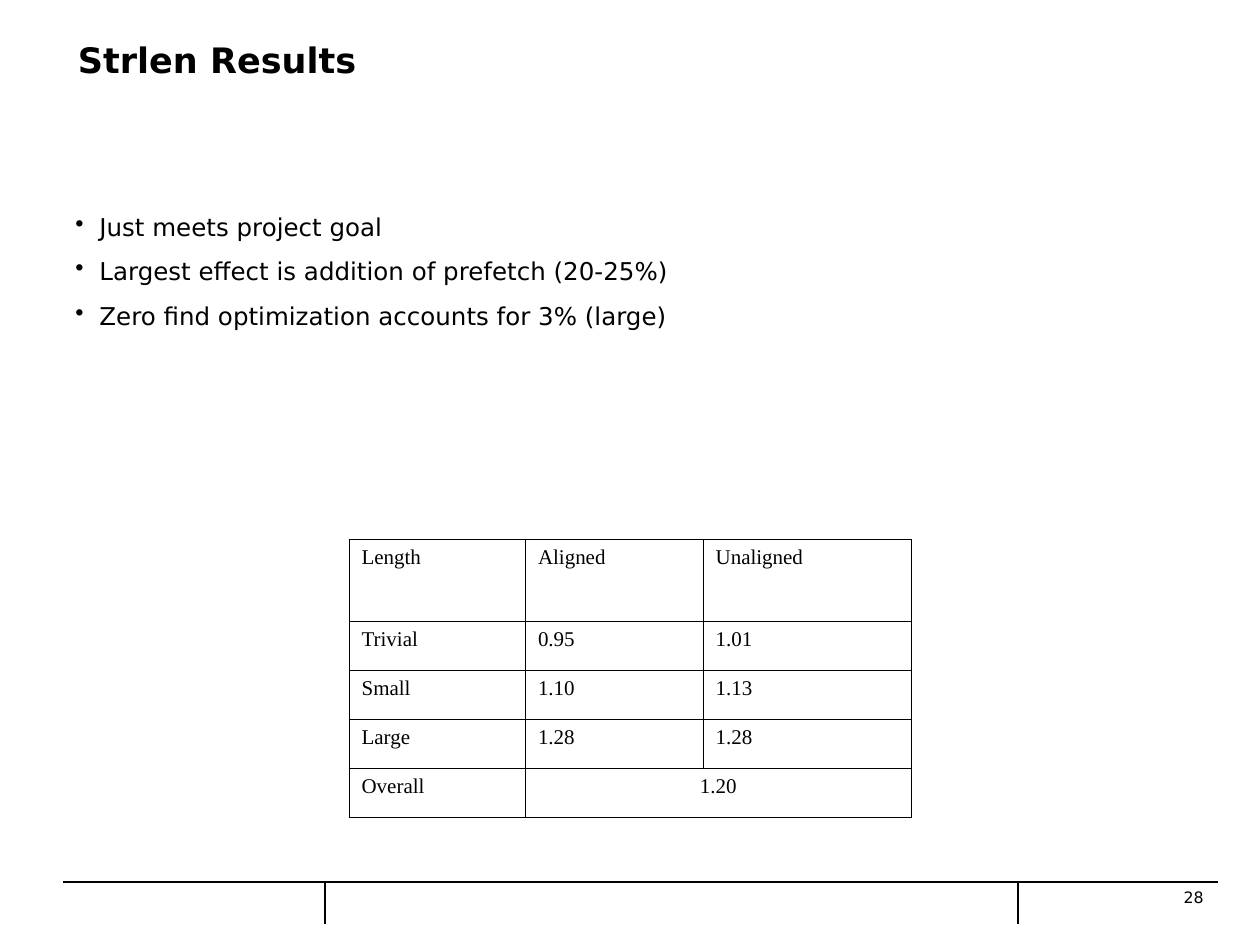
from pptx import Presentation
from pptx.dml.color import RGBColor
from pptx.enum.shapes import MSO_CONNECTOR as Connector
from pptx.enum.text import MSO_ANCHOR as Anchor, PP_ALIGN as Align
from pptx.oxml import parse_xml
from pptx.oxml.ns import nsdecls
from pptx.oxml.xmlchemy import OxmlElement
from pptx.util import Inches, Pt

COLORS = {"ink": "000000", "paper": "FFFFFF"}
SANS, SERIF = "DejaVu Sans", "Times New Roman"

TITLE = "Strlen Results"
FINDINGS = [
    "Just meets project goal",
    "Largest effect is addition of prefetch (20-25%)",
    "Zero find optimization accounts for 3% (large)",
]
SPEEDUPS = [
    ("Length", "Aligned", "Unaligned"),
    ("Trivial", "0.95", "1.01"),
    ("Small", "1.10", "1.13"),
    ("Large", "1.28", "1.28"),
    ("Overall", "1.20"),
]
PAGE_NUMBER = "28"

COLUMN_WIDTHS = [1.4, 1.41, 1.65]
HEADER_HEIGHT, ROW_HEIGHT = 0.65, 0.39
FOOTER_TOP, FOOTER_BOTTOM = 7, 7.33
FOOTER_LEFT, FOOTER_RIGHT = 0.5, 9.67
FOOTER_DIVIDERS = [2.58, 8.08]


def rgb(name):
    return RGBColor.from_string(COLORS[name])


def write(frame, *lines, size, font=SANS, bold=False, align=Align.LEFT,
          before=0, bullet=None):
    frame.word_wrap = True
    for i, line in enumerate(lines):
        paragraph = frame.paragraphs[0] if i == 0 else frame.add_paragraph()
        paragraph.alignment = align
        paragraph.space_before = Pt(before)
        if bullet:
            props = paragraph._p.get_or_add_pPr()
            props.set("marL", str(Inches(0.19)))
            props.set("indent", str(-Inches(0.19)))
            mark = OxmlElement("a:buChar")
            mark.set("char", bullet)
            props.append(mark)
        run = paragraph.add_run()
        run.text = line
        run.font.size = Pt(size)
        run.font.name = font
        run.font.bold = bold
        run.font.color.rgb = rgb("ink")


def add_text(slide, box, *lines, **text_format):
    frame = slide.shapes.add_textbox(*map(Inches, box)).text_frame
    write(frame, *lines, **text_format)


def add_rule(slide, *ends):
    rule = slide.shapes.add_connector(Connector.STRAIGHT, *map(Inches, ends))
    rule.line.color.rgb = rgb("ink")
    rule.line.width = Pt(0.75)
    rule._element.spPr.append(OxmlElement("a:effectLst"))


def outline(cell):
    props = cell._tc.get_or_add_tcPr()
    for position, side in enumerate("LRTB"):
        props.insert(position, parse_xml(
            f'<a:ln{side} {nsdecls("a")} w="{Pt(0.45)}"><a:solidFill>'
            f'<a:srgbClr val="{COLORS["ink"]}"/></a:solidFill></a:ln{side}>'))


def add_speedups(slide):
    heights = [HEADER_HEIGHT] + [ROW_HEIGHT] * (len(SPEEDUPS) - 1)
    table = slide.shapes.add_table(
        len(heights), len(COLUMN_WIDTHS), Inches(2.77), Inches(4.28),
        Inches(sum(COLUMN_WIDTHS)), Inches(sum(heights))).table
    table.first_row = table.horz_banding = False
    for column, width in zip(table.columns, COLUMN_WIDTHS):
        column.width = Inches(width)
    for row, height in zip(table.rows, heights):
        row.height = Inches(height)
    for cell in table.iter_cells():
        cell.fill.background()
        cell.vertical_anchor = Anchor.TOP
        outline(cell)
    last_column = len(COLUMN_WIDTHS) - 1
    for r, values in enumerate(SPEEDUPS):
        for c, value in enumerate(values):
            cell = table.cell(r, c)
            spans = c == len(values) - 1 < last_column
            if spans:
                cell.merge(table.cell(r, last_column))
            write(cell.text_frame, value, size=12, font=SERIF,
                  align=Align.CENTER if spans else Align.LEFT)


def main():
    deck = Presentation()
    deck.slide_width, deck.slide_height = Inches(10), Inches(7.5)
    slide = deck.slides.add_slide(deck.slide_layouts[6])
    slide.background.fill.solid()
    slide.background.fill.fore_color.rgb = rgb("paper")

    add_rule(slide, FOOTER_LEFT, FOOTER_TOP, FOOTER_RIGHT, FOOTER_TOP)
    for x in FOOTER_DIVIDERS:
        add_rule(slide, x, FOOTER_BOTTOM, x, FOOTER_TOP)
    add_text(slide, (0.52, 0.26, 6.51, 0.8), TITLE, size=20, bold=True)
    add_text(slide, (0.5, 1.63, 6.48, 1.75), *FINDINGS, size=14,
             before=8.8, bullet="•")
    add_speedups(slide)
    add_text(slide, (8.57, FOOTER_TOP, 1.08, 0.33), PAGE_NUMBER, size=9,
             align=Align.RIGHT)
    deck.save("out.pptx")


if __name__ == "__main__":
    main()
